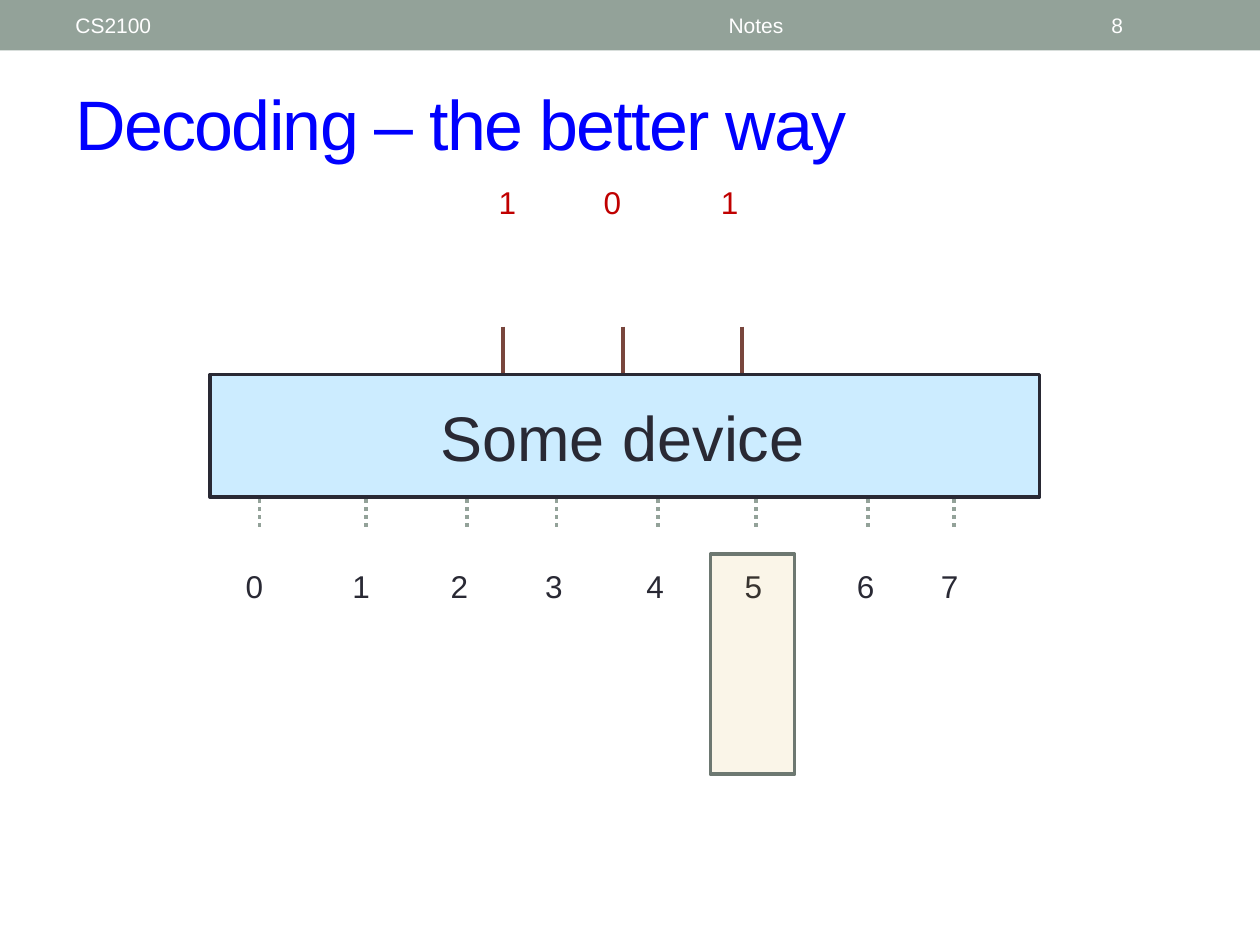
from typing import NamedTuple

from lxml.etree import SubElement
from pptx import Presentation
from pptx.dml.color import RGBColor
from pptx.enum.dml import MSO_LINE
from pptx.enum.shapes import MSO_CONNECTOR, MSO_SHAPE
from pptx.enum.text import MSO_ANCHOR, MSO_AUTO_SIZE, PP_ALIGN
from pptx.oxml.ns import qn
from pptx.util import Pt

GREEN, INK, RED, BROWN = "93A299", "292934", "C00000", "79463D"
LABEL_WIDTH, LABEL_HEIGHT = 30, 28.8


class Box(NamedTuple):
    left: float
    top: float
    width: float
    height: float


class Label(NamedTuple):
    text: str
    box: Box
    size: float
    color: str
    align: PP_ALIGN = PP_ALIGN.CENTER
    anchor: MSO_ANCHOR = MSO_ANCHOR.TOP


class Bit(NamedTuple):
    text: str
    center: float


class Output(NamedTuple):
    text: str
    center: float
    line_x: float


HEADER = [
    Label("CS2100", Box(36, 1.4, 228, 26), 12, "FFFFFF", PP_ALIGN.LEFT, MSO_ANCHOR.MIDDLE),
    Label("Notes", Box(270, 1.4, 324, 26), 12, "FFFFFF", PP_ALIGN.CENTER, MSO_ANCHOR.MIDDLE),
    Label("8", Box(628, 1.4, 56, 26), 12, "FFFFFF", PP_ALIGN.LEFT, MSO_ANCHOR.MIDDLE),
]
TITLE = Label("Decoding – the better way", Box(36, 41.8, 648, 56.9), 40, "0000FF",
              PP_ALIGN.LEFT, MSO_ANCHOR.MIDDLE)
DEVICE = Label("Some device", Box(219, 224, 273.6, 51), 36, INK)
INPUT_BITS = [Bit("1", 290), Bit("0", 350), Bit("1", 417)]
OUTPUTS = [
    Output("0", 145.4, 148.3), Output("1", 206.4, 209.3),
    Output("2", 262.5, 267), Output("3", 316.5, 318),
    Output("4", 374.4, 375.8), Output("5", 430.5, 432),
    Output("6", 494.6, 496), Output("7", 542.6, 545),
]


def rgb(color: str) -> RGBColor:
    return RGBColor.from_string(color)


def write(shape, label: Label):
    """Put the label's text into the shape and format it."""
    frame = shape.text_frame
    frame.text = label.text
    frame_format = {"word_wrap": True, "auto_size": MSO_AUTO_SIZE.NONE,
                    "vertical_anchor": label.anchor}
    for name, value in frame_format.items():
        setattr(frame, name, value)
    paragraph = frame.paragraphs[0]
    paragraph.alignment = label.align
    font = paragraph.runs[0].font
    for name, value in {"name": "Arial", "size": Pt(label.size), "bold": False}.items():
        setattr(font, name, value)
    font.color.rgb = rgb(label.color)


def add_label(shapes, label: Label):
    write(shapes.add_textbox(*map(Pt, label.box)), label)


def add_digit(shapes, text: str, center: float, top: float, color: str):
    box = Box(center - LABEL_WIDTH / 2, top, LABEL_WIDTH, LABEL_HEIGHT)
    add_label(shapes, Label(text, box, 18, color))


def add_rectangle(shapes, box: Box, fill: str, line: str | None = None, opacity: int = 100):
    shape = shapes.add_shape(MSO_SHAPE.RECTANGLE, *map(Pt, box))
    shape.shadow.inherit = False
    shape.fill.solid()
    shape.fill.fore_color.rgb = rgb(fill)
    if opacity < 100:
        color = shape.fill._xPr.find(".//" + qn("a:srgbClr"))
        SubElement(color, qn("a:alpha")).set("val", str(opacity * 1000))
    if line:
        shape.line.color.rgb = rgb(line)
        shape.line.width = Pt(2.08)
    else:
        shape.line.fill.background()


def add_wire(shapes, x: float, start: float, end: float, color: str, dash=None):
    """Draw a vertical line at x."""
    wire = shapes.add_connector(MSO_CONNECTOR.STRAIGHT, Pt(x), Pt(start), Pt(x), Pt(end))
    wire.line.color.rgb = rgb(color)
    wire.line.width = Pt(2.25)
    if dash:
        wire.line.dash_style = dash
    SubElement(wire._element.spPr, qn("a:effectLst"))


def add_title(slide):
    title = slide.shapes.title
    for name, value in TITLE.box._asdict().items():
        setattr(title, name, Pt(value))
    write(title, TITLE)
    run = title.text_frame.paragraphs[0].runs[0]
    run.font._element.set("spc", "-100")


def main():
    presentation = Presentation()
    presentation.slide_width, presentation.slide_height = Pt(720), Pt(540)
    slide = presentation.slides.add_slide(presentation.slide_layouts[5])
    shapes = slide.shapes

    add_rectangle(shapes, Box(0, 0, 720, 28.8), GREEN)
    for label in HEADER:
        add_label(shapes, label)
    add_title(slide)

    input_group = shapes.add_group_shape().shapes
    for bit in INPUT_BITS:
        add_digit(input_group, bit.text, bit.center, 100.8, RED)

    number_group = shapes.add_group_shape().shapes
    wire_group = shapes.add_group_shape().shapes
    for output in OUTPUTS:
        add_digit(number_group, output.text, output.center, 320.6, INK)
        add_wire(wire_group, output.line_x, 301, 223, GREEN, MSO_LINE.ROUND_DOT)

    add_rectangle(shapes, Box(406, 316.5, 48, 126), "CC9900", "6D7871", opacity=9)

    device_group = shapes.add_group_shape().shapes
    for index in range(len(INPUT_BITS)):
        add_wire(device_group, 287.7 + 68.2 * index, 186.6, 240.6, BROWN)
    add_rectangle(device_group, Box(120, 214, 474, 70), "CCECFF", INK)
    add_label(device_group, DEVICE)

    presentation.save("out.pptx")


if __name__ == "__main__":
    main()
